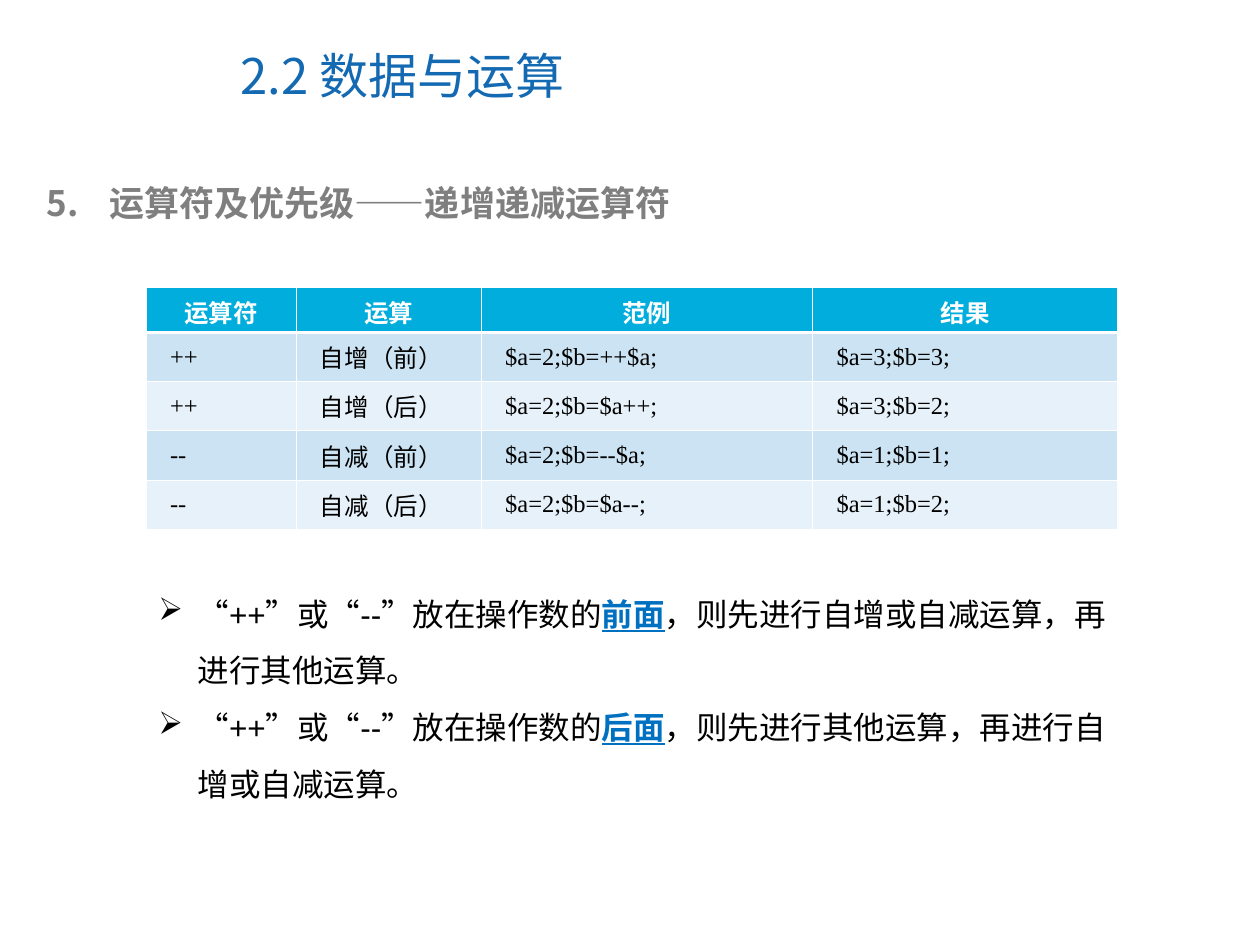
from dataclasses import dataclass

import pptx
import pptx.dml.color
import pptx.enum.text
import pptx.oxml.ns
import pptx.util
from lxml import etree
from pptx.util import Inches

COLORS = {
    "title": "1369B2",
    "heading": "7F7F7F",
    "header": "00ADDC",
    "band_dark": "CBE3F2",
    "band_light": "E7F1F9",
    "accent": "0070C0",
    "text": "000000",
    "white": "FFFFFF",
}
CHINESE_FONT = "Noto Sans CJK SC"
ALIGN = pptx.enum.text.PP_ALIGN
MIDDLE = pptx.enum.text.MSO_ANCHOR.MIDDLE


@dataclass(frozen=True)
class TextStyle:
    size: float
    font: str
    color: str
    bold: bool = False
    underline: bool = False


@dataclass(frozen=True)
class Rule:
    """An operator rule whose key word is emphasised."""
    lead: str
    key: str
    rest: str


TITLE = TextStyle(28, CHINESE_FONT, "title")
HEADING = TextStyle(20, CHINESE_FONT, "heading", bold=True)
TABLE_HEAD = TextStyle(14, "Arial", "white", bold=True)
TABLE_BODY = TextStyle(14, "Times New Roman", "text")
BODY = TextStyle(18, "Arial", "text")
KEY = TextStyle(18, "Arial", "accent", bold=True, underline=True)

COLUMN_WIDTHS = (1.19, 1.47, 2.63, 2.42)
ROW_HEIGHTS = (0.36, 0.39, 0.39, 0.39, 0.39)
OPERATORS = (
    ("运算符", "运算", "范例", "结果"),
    ("++", "自增（前）", "$a=2;$b=++$a;", "$a=3;$b=3;"),
    ("++", "自增（后）", "$a=2;$b=$a++;", "$a=3;$b=2;"),
    ("--", "自减（前）", "$a=2;$b=--$a;", "$a=1;$b=1;"),
    ("--", "自减（后）", "$a=2;$b=$a--;", "$a=1;$b=2;"),
)
RULES = (
    Rule("“++”或“--”放在操作数的", "前面", "，则先进行自增或自减运算，再进行其他运算。"),
    Rule("“++”或“--”放在操作数的", "后面", "，则先进行其他运算，再进行自增或自减运算。"),
)


def rgb(name: str) -> pptx.dml.color.RGBColor:
    return pptx.dml.color.RGBColor.from_string(COLORS[name])


def add_element(parent, tag: str, **attributes: str):
    return etree.SubElement(parent, pptx.oxml.ns.qn(tag), attributes)


def add_span(para, text: str, style: TextStyle) -> None:
    span = para.add_run()
    span.text = text
    formats = {
        "size": pptx.util.Pt(style.size),
        "name": style.font,
        "bold": style.bold,
        "underline": style.underline,
    }
    for name, value in formats.items():
        setattr(span.font, name, value)
    span.font.color.rgb = rgb(style.color)
    add_element(span.font._element, "a:ea", typeface=CHINESE_FONT)


def indent(para, left: float, first: float = 0) -> None:
    properties = para._p.get_or_add_pPr()
    properties.set("marL", str(Inches(left)))
    properties.set("indent", str(Inches(first)))


def add_bullet(para, color: str, tag: str, **attributes: str) -> None:
    properties = para._p.get_or_add_pPr()
    add_element(add_element(properties, "a:buClr"), "a:srgbClr", val=COLORS[color])
    add_element(properties, tag, **attributes)


def add_box(page, left: float, top: float, width: float, height: float):
    box = page.shapes.add_textbox(Inches(left), Inches(top), Inches(width), Inches(height))
    box.text_frame.word_wrap = True
    return box.text_frame


def draw_borders(cell, below_header: float, above: float) -> None:
    """Draw white cell edges, given the bottom and top widths in points."""
    edges = {"a:lnL": 0.45, "a:lnR": 0.45, "a:lnT": above, "a:lnB": below_header}
    properties = cell._tc.get_or_add_tcPr()
    for tag, width in edges.items():
        line = add_element(properties, tag, w=str(pptx.util.Pt(width)))
        add_element(add_element(line, "a:solidFill"), "a:srgbClr", val=COLORS["white"])


def fill_cell(cell, text: str, row: int) -> None:
    is_header = row == 0
    draw_borders(cell, 1.47 if is_header else 0.45, 1.47 if row == 1 else 0.45)
    formats = {
        "vertical_anchor": MIDDLE,
        "margin_left": Inches(0.07),
        "margin_right": Inches(0.07),
        "margin_top": Inches(0.05),
        "margin_bottom": Inches(0.05),
    }
    for name, value in formats.items():
        setattr(cell, name, value)
    band = "header" if is_header else "band_dark" if row % 2 else "band_light"
    cell.fill.solid()
    cell.fill.fore_color.rgb = rgb(band)
    para = cell.text_frame.paragraphs[0]
    para.alignment = ALIGN.CENTER if is_header else ALIGN.JUSTIFY
    if not is_header:
        indent(para, 0.12)
    add_span(para, text, TABLE_HEAD if is_header else TABLE_BODY)


def add_title(page) -> None:
    title = page.shapes.title
    place = {"left": 1.81, "top": 0.17, "width": 5.16, "height": 0.85}
    for name, value in place.items():
        setattr(title, name, Inches(value))
    title.text_frame.vertical_anchor = MIDDLE
    para = title.text_frame.paragraphs[0]
    para.alignment = ALIGN.LEFT
    add_span(para, "2.2 数据与运算", TITLE)


def add_heading(page) -> None:
    para = add_box(page, 0.27, 1.39, 9.22, 0.44).paragraphs[0]
    indent(para, 0.5, -0.5)
    add_bullet(para, "heading", "a:buAutoNum", type="arabicPeriod", startAt="5")
    add_span(para, "运算符及优先级——递增递减运算符", HEADING)


def add_operator_table(page) -> None:
    table = page.shapes.add_table(
        len(OPERATORS), len(COLUMN_WIDTHS), Inches(1.16), Inches(2.28),
        Inches(sum(COLUMN_WIDTHS)), Inches(sum(ROW_HEIGHTS))).table
    for column, width in zip(table.columns, COLUMN_WIDTHS):
        column.width = Inches(width)
    for row, height in zip(table.rows, ROW_HEIGHTS):
        row.height = Inches(height)
    for row, texts in enumerate(OPERATORS):
        for column, text in enumerate(texts):
            fill_cell(table.cell(row, column), text, row)


def add_rules(page) -> None:
    frame = add_box(page, 1.16, 4.52, 7.94, 1.9)
    for index, rule in enumerate(RULES):
        para = frame.add_paragraph() if index else frame.paragraphs[0]
        indent(para, 0.31, -0.31)
        add_bullet(para, "text", "a:buChar", char="➢")
        para.line_spacing = 1.5
        for text, style in ((rule.lead, BODY), (rule.key, KEY), (rule.rest, BODY)):
            add_span(para, text, style)


def main() -> None:
    deck = pptx.Presentation()
    deck.slide_width, deck.slide_height = Inches(10), Inches(7.5)
    page = deck.slides.add_slide(deck.slide_layouts[5])
    add_title(page)
    add_heading(page)
    add_operator_table(page)
    add_rules(page)
    deck.save("out.pptx")


if __name__ == "__main__":
    main()
